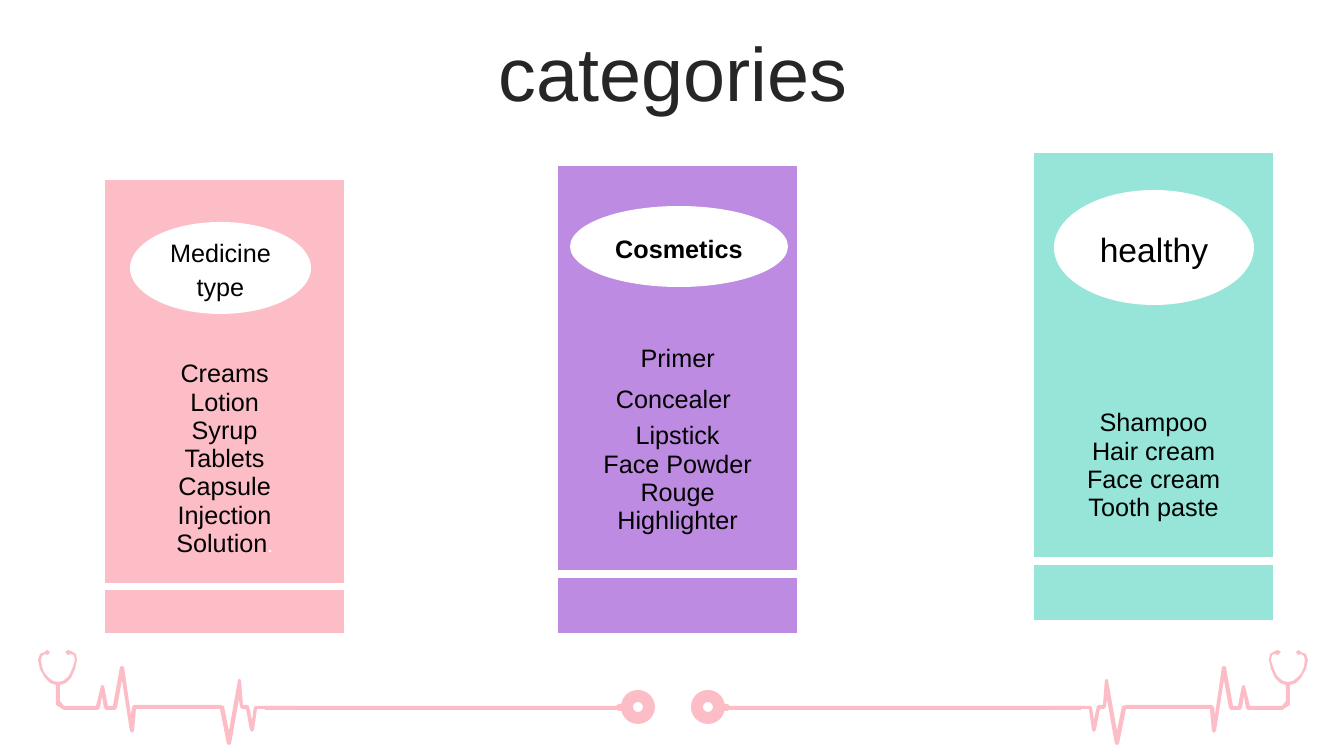
import pptx
import pptx.util
from lxml import etree
from pptx.dml.color import RGBColor
from pptx.enum.shapes import MSO_SHAPE
from pptx.enum.text import MSO_ANCHOR, PP_ALIGN
from pptx.oxml.ns import qn

# Content
TITLE = "categories"
PINK, PURPLE, MINT, WHITE = "FDBDC7", "BE8BE2", "96E5D8", "FFFFFF"
CATEGORIES = [
    dict(heading="Medicine type", size=18, bold=False, oval=(130, 222, 181, 92),
         color=PINK, corner=(105, 180), rows=(135, 38, 231, 46), lead="", foot=22,
         items=["Creams", "Lotion", "Syrup", "Tablets", "Capsule", "Injection", "Solution"],
         end_mark="."),
    dict(heading="Cosmetics", size=18, bold=True, oval=(570, 206, 218, 81),
         color=PURPLE, corner=(558, 166), rows=(174, 43, 191, 59), lead="Primer", foot=0,
         items=["Lipstick", "Face Powder", "Rouge", "Highlighter"], end_mark=""),
    dict(heading="healthy", size=24, bold=False, oval=(1054, 190, 200, 115),
         color=MINT, corner=(1034, 153), rows=(174, 43, 191, 59), lead="", foot=0,
         items=["Shampoo", "Hair cream", "Face cream", "Tooth paste"], end_mark=""),
]
EXTRA_ITEM = "Concealer"
COLUMNS = (24, 191, 24)

# Stethoscope and heartbeat outline for the left half, in px
PULSE = [
    (38, 660), (40, 654), (45, 652), (47, 650), (50, 652), (48, 655), (45, 654),
    (42, 656), (41, 660), (42, 667), (45, 674), (48, 677), (53, 681), (58, 682),
    (63, 681), (68, 677), (70, 674), (73, 667), (75, 660), (74, 655), (71, 654),
    (68, 655), (65, 652), (68, 650), (71, 651), (76, 654), (77, 660), (75, 669),
    (71, 678), (66, 683), (60, 685), (60, 701), (64, 706), (96, 706), (101, 686),
    (102, 685), (104, 686), (108, 706), (113, 706), (120, 667), (122, 666),
    (124, 667), (131, 715), (132, 707), (134, 705), (220, 705), (224, 706),
    (229, 731), (238, 680), (239, 679), (241, 680), (243, 705), (247, 705),
    (249, 706), (252, 720), (254, 707), (256, 706), (295, 706), (295, 709),
    (257, 709), (254, 730), (252, 732), (250, 730), (246, 709), (242, 709),
    (240, 707), (239, 699), (231, 744), (229, 745), (227, 744), (220, 709),
    (136, 709), (134, 731), (132, 733), (130, 731), (122, 680), (117, 708),
    (115, 710), (106, 710), (104, 708), (102, 696), (100, 708), (98, 710),
    (64, 710), (56, 705), (56, 685), (50, 683), (45, 678), (40, 669),
]
CORD = (265, 706, 359, 4)
JOINT = (616, 704, 11, 7)
CHEST_PIECE = (627, 696, 22, 22)
MIRROR_SUM = 1346

EMU_PER_PX = 12192000 / 1344


def px(length):
    return pptx.util.Emu(round(length * EMU_PER_PX))


def rgb(color):
    return RGBColor.from_string(color)


def write(frame, lines, *, size=18, bold=False, color="000000", align=PP_ALIGN.CENTER,
          anchor=MSO_ANCHOR.MIDDLE, spacing=None, end_mark=""):
    frame.word_wrap = True
    frame.vertical_anchor = anchor
    for number, line in enumerate(lines):
        paragraph = frame.add_paragraph() if number else frame.paragraphs[0]
        paragraph.alignment = align
        if spacing:
            paragraph.line_spacing = spacing
        parts = [(line, size, color)]
        if end_mark and number == len(lines) - 1:
            parts.append((end_mark, 14, WHITE))
        for text, part_size, part_color in parts:
            run = paragraph.add_run()
            run.text = text
            run.font.name = "Arial"
            run.font.size = pptx.util.Pt(part_size)
            run.font.bold = bold
            run.font.color.rgb = rgb(part_color)


def paint(shape, color):
    shape.shadow.inherit = False
    shape.fill.solid()
    shape.fill.fore_color.rgb = rgb(color)
    shape.line.fill.background()


def draw_shape(preset, box, color):
    shape = slide.shapes.add_shape(preset, *map(px, box))
    paint(shape, color)
    return shape


def rule(cell, side):
    line = etree.Element(qn("a:" + side), w=str(pptx.util.Pt(6)))
    fill = etree.SubElement(line, qn("a:solidFill"))
    etree.SubElement(fill, qn("a:srgbClr"), val=WHITE)
    cell._tc.get_or_add_tcPr().insert(0, line)


def draw_stethoscope(mirrored):
    def place(box):
        left, top, width, height = box
        return (MIRROR_SUM - left - width if mirrored else left, top, width, height)

    points = [(MIRROR_SUM - x if mirrored else x, y) for x, y in PULSE]
    builder = slide.shapes.build_freeform(*points[0], scale=EMU_PER_PX)
    builder.add_line_segments(points[1:], close=True)
    paint(builder.convert_to_shape(), PINK)
    ring = draw_shape(MSO_SHAPE.OVAL, place(CHEST_PIECE), PINK)
    ring.fill.background()
    ring.line.color.rgb = rgb(PINK)
    ring.line.width = pptx.util.Pt(8.57)
    draw_shape(MSO_SHAPE.ROUNDED_RECTANGLE, place(JOINT), PINK).adjustments[0] = 0.5
    draw_shape(MSO_SHAPE.RECTANGLE, place(CORD), PINK)


def draw_panel(category):
    rows = category["rows"]
    size = (sum(COLUMNS), sum(rows))
    frame = slide.shapes.add_table(len(rows), len(COLUMNS), *map(px, category["corner"] + size))
    table = frame.table
    table.first_row = table.horz_banding = False
    for style in frame._element.iter(qn("a:tableStyleId")):
        style.text = "{2D5ABB26-0587-4C30-8999-92F81FD0307C}"  # no style, no grid
    for column, width in zip(table.columns, COLUMNS):
        column.width = px(width)
    for number, (row, height) in enumerate(zip(table.rows, rows)):
        row.height = px(height)
        for cell in row.cells:
            cell.margin_top = cell.margin_bottom = 0
            cell.fill.solid()
            cell.fill.fore_color.rgb = rgb(category["color"])
            if number >= 2:
                rule(cell, "lnB" if number == 2 else "lnT")
        if number != 2:
            table.cell(number, 0).merge(table.cell(number, 2))
    if category["lead"]:
        lead = table.cell(1, 0)
        lead.margin_top = px(5)
        write(lead.text_frame, [category["lead"]], anchor=MSO_ANCHOR.TOP)
    listing = table.cell(2, 1)
    listing.margin_bottom = px(category["foot"])
    listing.vertical_anchor = MSO_ANCHOR.MIDDLE
    write(listing.text_frame, category["items"], end_mark=category["end_mark"])
    listing.vertical_anchor = MSO_ANCHOR.MIDDLE


deck = pptx.Presentation()
deck.slide_width, deck.slide_height = px(1344), px(756)
slide = deck.slides.add_slide(deck.slide_layouts[6])

# Stethoscopes along the bottom
for mirrored in (True, False):
    draw_stethoscope(mirrored)

# Title
title = slide.shapes.add_textbox(*map(px, (35, 37, 1276, 80)))
write(title.text_frame, [TITLE], size=54, color="262626", spacing=0.9)

# Panels, then their oval headings
for category in CATEGORIES:
    draw_panel(category)
for category in CATEGORIES:
    oval = draw_shape(MSO_SHAPE.OVAL, category["oval"], WHITE)
    write(oval.text_frame, [category["heading"]], size=category["size"],
          bold=category["bold"], spacing=1.1)

# Item set between two table rows
extra = slide.shapes.add_textbox(*map(px, (606, 378, 142, 40)))
write(extra.text_frame, [EXTRA_ITEM], align=PP_ALIGN.LEFT, anchor=MSO_ANCHOR.TOP)

deck.save("out.pptx")
